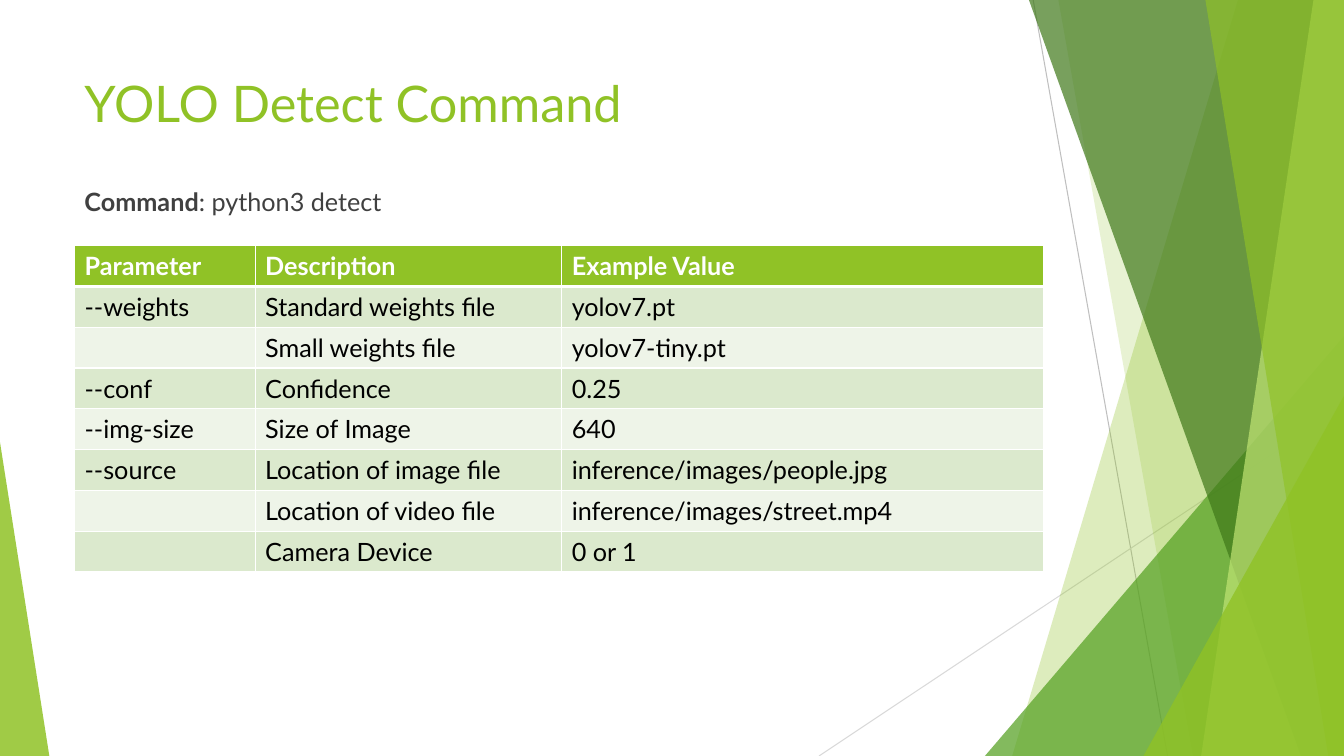
from dataclasses import dataclass
from lxml import etree
from pptx import Presentation
from pptx.dml.color import RGBColor
from pptx.enum.shapes import MSO_CONNECTOR as Connector, MSO_SHAPE as Shape
from pptx.enum.text import MSO_ANCHOR as Anchor
from pptx.oxml.ns import qn
from pptx.util import Pt

PX = 9525


@dataclass(frozen=True)
class Theme:
    font: str = "Lato"
    title_size: int = 36
    text_size: int = 18
    accent: str = "90C226"
    leaf: str = "54A021"
    forest: str = "3F7819"
    lime: str = "C0E474"
    body: str = "404040"
    black: str = "000000"
    white: str = "FFFFFF"
    bands: tuple = ("DBE9CD", "EEF4E8")
    dark_ray: str = "BFBFBF"
    light_ray: str = "D9D9D9"


THEME = Theme()

PARAMETERS = [
    ("Parameter", "Description", "Example Value"),
    ("--weights", "Standard weights file", "yolov7.pt"),
    ("", "Small weights file", "yolov7-tiny.pt"),
    ("--conf", "Confidence", "0.25"),
    ("--img-size", "Size of Image", "640"),
    ("--source", "Location of image file", "inference/images/people.jpg"),
    ("", "Location of video file", "inference/images/street.mp4"),
    ("", "Camera Device", "0 or 1"),
]


def px(*lengths):
    return [length * PX for length in lengths]


def add_run(paragraph, words, size, color, bold=False):
    run = paragraph.add_run()
    run.text = words
    run.font.name = THEME.font
    run.font.size = Pt(size)
    run.font.bold = bold
    run.font.color.rgb = RGBColor.from_string(color)


def paint(facet, color, opacity):
    facet.shadow.inherit = False
    facet.line.fill.background()
    facet.fill.solid()
    facet.fill.fore_color.rgb = RGBColor.from_string(color)
    tint = facet.fill._xPr.find(qn("a:solidFill"))[0]
    etree.SubElement(tint, qn("a:alpha"), val=str(opacity * 1000))


def add_ray(slide, start, end, color):
    ray = slide.shapes.add_connector(Connector.STRAIGHT, *px(*start, *end))
    ray.line.color.rgb = RGBColor.from_string(color)
    ray.line.width = Pt(0.75)
    etree.SubElement(ray._element.spPr, qn("a:effectLst"))


def add_band(slide, box, top_x, bottom_x, color, opacity):
    left, top, width, height = box
    right, bottom = left + width, top + height
    outline = slide.shapes.build_freeform(left + top_x, top, scale=PX)
    outline.add_line_segments(
        [(right, top), (right, bottom), (left + bottom_x, bottom)], close=True)
    paint(outline.convert_to_shape(), color, opacity)


def add_corner(slide, box, apex, color, opacity):
    corner = slide.shapes.add_shape(Shape.ISOSCELES_TRIANGLE, *px(*box))
    corner.adjustments[0] = apex
    paint(corner, color, opacity)


def add_right_corner(slide, box, width, height, color, opacity):
    left, top, box_width, box_height = box
    corner_box = (left + box_width - width, top + box_height - height, width, height)
    add_corner(slide, corner_box, 1, color, opacity)


def draw_facets(slide, box):
    left, top, width, height = box
    right, bottom = left + width, top + height
    add_ray(slide, (left + 204, top), (left + 332, bottom), THEME.dark_ray)
    add_ray(slide, (right, top + 387), (left, bottom), THEME.light_ray)
    add_band(slide, box, 399, 184, THEME.accent, 30)
    add_band(slide, box, 228, 356, THEME.accent, 20)
    add_right_corner(slide, box, 342, 400, THEME.leaf, 72)
    add_band(slide, box, 200, 459, THEME.forest, 70)
    add_band(slide, box, 471, 364, THEME.lime, 70)
    add_band(slide, box, 368, 485, THEME.accent, 65)
    add_right_corner(slide, box, 191, 343, THEME.accent, 80)


def draw_text(slide, box, runs):
    frame = slide.shapes.add_textbox(*px(*box)).text_frame
    frame.word_wrap = True
    frame.vertical_anchor = Anchor.TOP
    for run in runs:
        add_run(frame.paragraphs[0], *run)


def add_borders(cell, widths):
    properties = cell._tc.get_or_add_tcPr()
    for position, (side, points) in enumerate(widths.items()):
        border = etree.Element(qn(f"a:{side}"), w=str(Pt(points)))
        fill = etree.SubElement(border, qn("a:solidFill"))
        etree.SubElement(fill, qn("a:srgbClr"), val=THEME.white)
        properties.insert(position, border)


def draw_parameters(slide, box, column_widths):
    table = slide.shapes.add_table(
        len(PARAMETERS), len(column_widths), *px(*box)).table
    for column, width in zip(table.columns, px(*column_widths)):
        column.width = width
    for index, entries in enumerate(PARAMETERS):
        header = index == 0
        table.rows[index].height = box[3] * PX // len(PARAMETERS)
        for cell, words in zip(table.rows[index].cells, entries):
            fill = THEME.accent if header else THEME.bands[(index - 1) % 2]
            cell.fill.solid()
            cell.fill.fore_color.rgb = RGBColor.from_string(fill)
            add_borders(cell, {"lnL": 1, "lnR": 1,
                               "lnT": 3 if index == 1 else 1,
                               "lnB": 3 if header else 1})
            if words:
                color = THEME.white if header else THEME.black
                add_run(cell.text_frame.paragraphs[0], words,
                        THEME.text_size, color, header)


def main():
    deck = Presentation()
    deck.slide_width, deck.slide_height = px(1280, 720)
    slide = deck.slides.add_slide(deck.slide_layouts[6])
    draw_facets(slide, (780, 0, 500, 720))
    add_corner(slide, (0, 421, 47, 299), 0, THEME.accent, 85)
    draw_text(slide, (71, 64, 902, 100),
              [("YOLO Detect Command", THEME.title_size, THEME.accent)])
    draw_text(slide, (71, 173, 902, 50),
              [("Command", THEME.text_size, THEME.body, True),
               (": python3 detect", THEME.text_size, THEME.body)])
    draw_parameters(slide, (71, 234, 923, 311), (172, 292, 459))
    deck.save("out.pptx")


if __name__ == "__main__":
    main()
